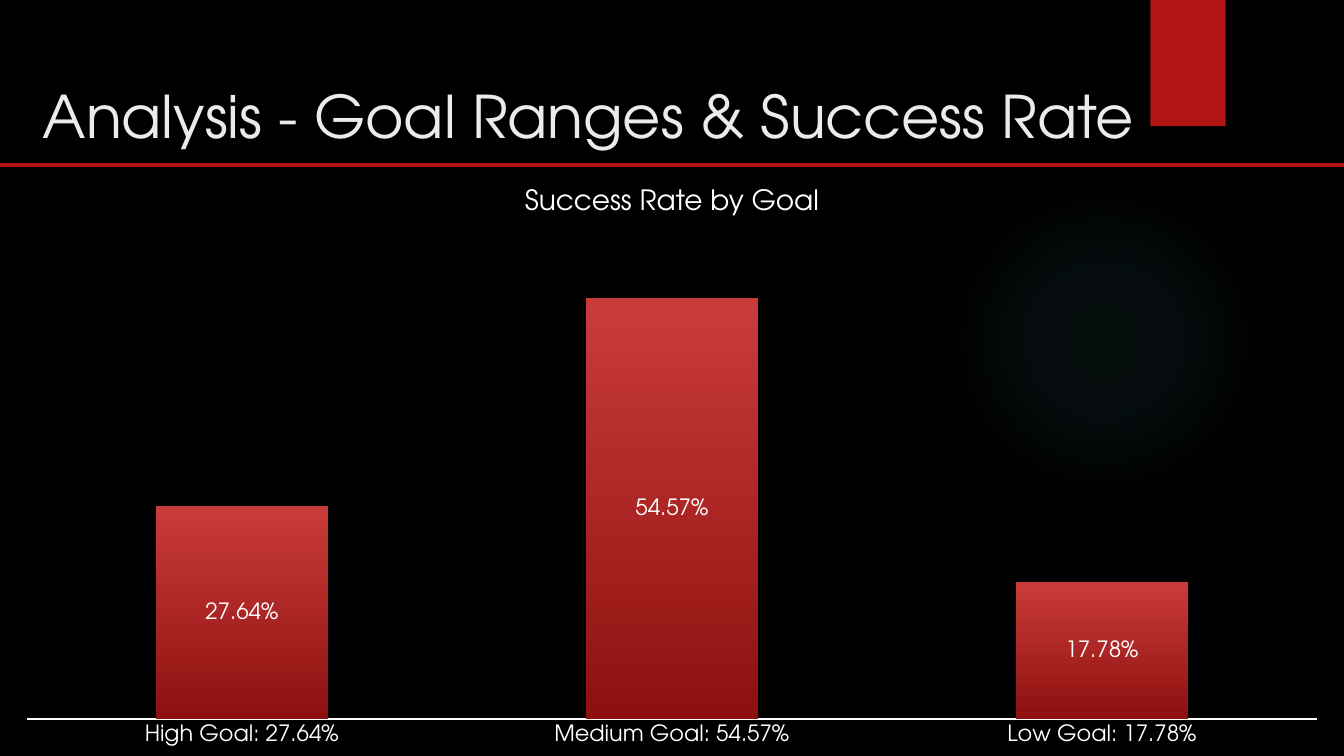
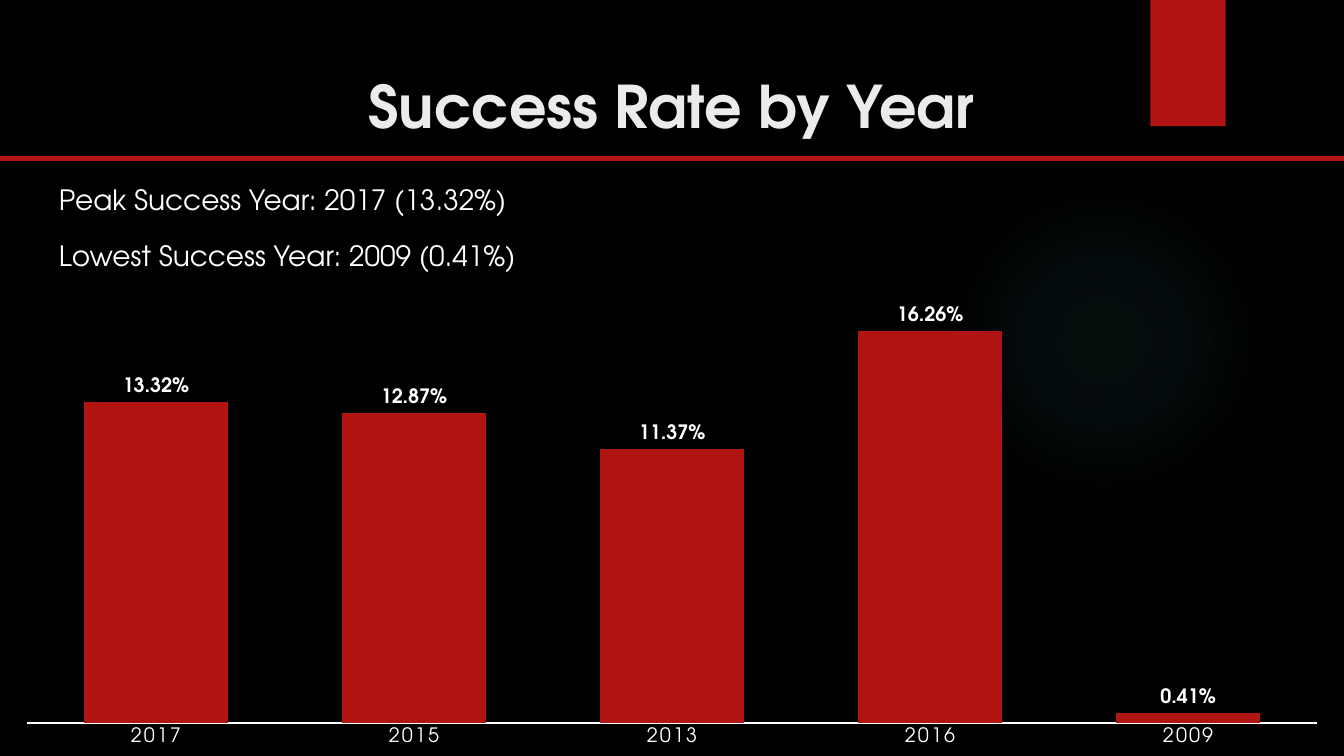
from pptx import Presentation
from pptx.chart.data import CategoryChartData
from pptx.dml.color import RGBColor
from pptx.enum.chart import XL_CHART_TYPE, XL_LABEL_POSITION, XL_TICK_MARK
from pptx.enum.shapes import MSO_CONNECTOR, MSO_SHAPE
from pptx.enum.text import MSO_ANCHOR, PP_ALIGN
from pptx.oxml import parse_xml
from pptx.util import Inches, Pt

BLACK = RGBColor(0x00, 0x00, 0x00)
WHITE = RGBColor(0xFF, 0xFF, 0xFF)
PALE = RGBColor(0xEB, 0xEB, 0xEB)
RED = RGBColor(0xB0, 0x15, 0x13)
LIGHT = RGBColor(0xC9, 0x3B, 0x3A)
DARK = RGBColor(0x8D, 0x11, 0x0F)
GLOW = RGBColor(0x50, 0xB9, 0xC1)
FACE = "TeX Gyre Adventor"
WIDE = Inches(10)
HIGH = WIDE * 9 // 16
SPACE = 'xmlns:a="http://schemas.openxmlformats.org/drawingml/2006/main"'


class Deck:
    """Hold the shared style and the current slide."""

    def __init__(self):
        self.show = Presentation()
        self.show.slide_width = WIDE
        self.show.slide_height = HIGH
        self.slide = None

    def page(self):
        self.slide = self.show.slides.add_slide(self.show.slide_layouts[6])
        fill = self.slide.background.fill
        fill.solid()
        fill.fore_color.rgb = BLACK
        self.glow()
        self.tab()

    def shape(self, kind, *box):
        item = self.slide.shapes.add_shape(kind, *map(Inches, box))
        item.shadow.inherit = False
        item.line.fill.background()
        return item

    def glow(self):
        item = self.shape(MSO_SHAPE.OVAL, 7.06, 1.38, 2.31, 2.31)
        item.fill.background()
        stops = "".join(
            f'<a:gs pos="{pos}000"><a:srgbClr val="{GLOW}">'
            f'<a:alpha val="{alpha}000"/></a:srgbClr></a:gs>'
            for pos, alpha in ((0, 7), (36, 6), (69, 0)))
        props = item.element.spPr
        blank = props.find("{*}noFill")
        props.replace(blank, parse_xml(
            f'<a:gradFill {SPACE}><a:gsLst>{stops}</a:gsLst><a:path path="circle">'
            '<a:fillToRect l="50000" t="50000" r="50000" b="50000"/>'
            '</a:path></a:gradFill>'))

    def shade(self, item):
        props = item.element.spPr
        for old in props.findall("{*}effectLst"):
            props.remove(old)
        props.append(parse_xml(
            f'<a:effectLst {SPACE}><a:outerShdw blurRad="{Pt(3)}" dist="{Pt(2)}" '
            f'dir="5400000" rotWithShape="0"><a:srgbClr val="{BLACK}">'
            '<a:alpha val="45000"/></a:srgbClr></a:outerShdw></a:effectLst>'))

    def tab(self):
        item = self.shape(MSO_SHAPE.RECTANGLE, 8.56, 0, 0.56, 0.94)
        item.fill.solid()
        item.fill.fore_color.rgb = RED
        self.shade(item)

    def rule(self, y):
        line = self.slide.shapes.add_connector(
            MSO_CONNECTOR.STRAIGHT, 0, Inches(y), WIDE, Inches(y))
        line.line.color.rgb = RED
        line.line.width = Pt(2.25)
        self.shade(line)

    def font(self, font, size, color=WHITE, bold=False):
        font.name = FACE
        font.size = Pt(size)
        font.bold = bold
        font.color.rgb = color

    def text(self, box, lines, size, color, align, bold=False):
        frame = self.slide.shapes.add_textbox(*map(Inches, box)).text_frame
        frame.word_wrap = True
        frame.vertical_anchor = MSO_ANCHOR.TOP
        frame.margin_left = frame.margin_right = Inches(0.1)
        frame.margin_top = frame.margin_bottom = Inches(0.1)
        for i, line in enumerate(lines):
            para = frame.add_paragraph() if i else frame.paragraphs[0]
            para.text = line
            para.alignment = align
            if i:
                para.space_before = para.space_after = Pt(12)
            self.font(para.font, size, color, bold)

    def title(self, box, words, align=PP_ALIGN.LEFT, bold=False):
        self.text(box, [words], 31.5, PALE, align, bold)

    def body(self, lines, align=PP_ALIGN.LEFT):
        self.text((0.34, 1.26, 9.32, 3.74), lines, 15, WHITE, align)

    def chart(self, kind, top, rates, peak, gap, size, line, place, bold=False):
        data = CategoryChartData(number_format="0.00%")
        data.categories = list(rates)
        data.add_series("Series 1", list(rates.values()))
        chart = self.slide.shapes.add_chart(
            kind, 0, Inches(top), WIDE, HIGH - Inches(top), data).chart
        chart.has_title = chart.has_legend = False
        self.font(chart.font, 10)
        values = chart.value_axis
        values.visible = values.has_major_gridlines = False
        values.minimum_scale, values.maximum_scale = 0, peak
        values.tick_labels.number_format = "0.00%"
        values.tick_labels.number_format_is_linked = False
        names = chart.category_axis
        names.has_major_gridlines = False
        names.major_tick_mark = names.minor_tick_mark = XL_TICK_MARK.NONE
        names.format.line.color.rgb = WHITE
        names.format.line.width = Pt(line)
        self.font(names.tick_labels.font, size)
        plot = chart.plots[0]
        plot.vary_by_categories = False
        plot.gap_width = gap
        bars = plot.series[0]
        bars.format.fill.solid()
        bars.format.fill.fore_color.rgb = RED
        labels = bars.data_labels
        labels.show_value = True
        labels.number_format = "0.00%"
        labels.number_format_is_linked = False
        labels.position = place
        self.font(labels.font, size, bold=bold)
        return chart

    def blend(self, chart):
        plot = chart.plots[0]
        plot.overlap = 100
        fill = plot.series[0].format.fill
        fill.gradient()
        fill.gradient_angle = 270
        for stop, color in zip(fill.gradient_stops, (LIGHT, DARK)):
            stop.color.rgb = color

    def track(self, chart, space):
        chart.element.xpath(".//c:catAx//a:defRPr")[0].set("spc", str(space))


def main():
    deck = Deck()

    deck.page()
    deck.title((0.22, 0.49, 8.84, 0.63), "Analysis - Goal Ranges & Success Rate")
    deck.body(["Success Rate by Goal"], PP_ALIGN.CENTER)
    goals = {"High Goal": 0.2764, "Medium Goal": 0.5457, "Low Goal": 0.1778}
    rates = {f"{name}: {rate:.2%}": rate for name, rate in goals.items()}
    chart = deck.chart(XL_CHART_TYPE.COLUMN_STACKED, 1.83, rates, 0.6, 150, 12, 1,
                       XL_LABEL_POSITION.CENTER)
    deck.blend(chart)
    deck.rule(1.23)

    deck.page()
    deck.title((2.27, 0.42, 5.45, 0.63), "Success Rate by Year", PP_ALIGN.CENTER, True)
    deck.body(["Peak Success Year: 2017 (13.32%)", "Lowest Success Year: 2009 (0.41%)"])
    years = {"2017": 0.1332, "2015": 0.1287, "2013": 0.1137,
             "2016": 0.1626, "2009": 0.0041}
    chart = deck.chart(XL_CHART_TYPE.COLUMN_CLUSTERED, 2.08, years, 0.18, 79, 10.6, 0.75,
                       XL_LABEL_POSITION.OUTSIDE_END, True)
    deck.track(chart, 120)
    deck.rule(1.18)

    deck.show.save("out.pptx")


if __name__ == "__main__":
    main()
